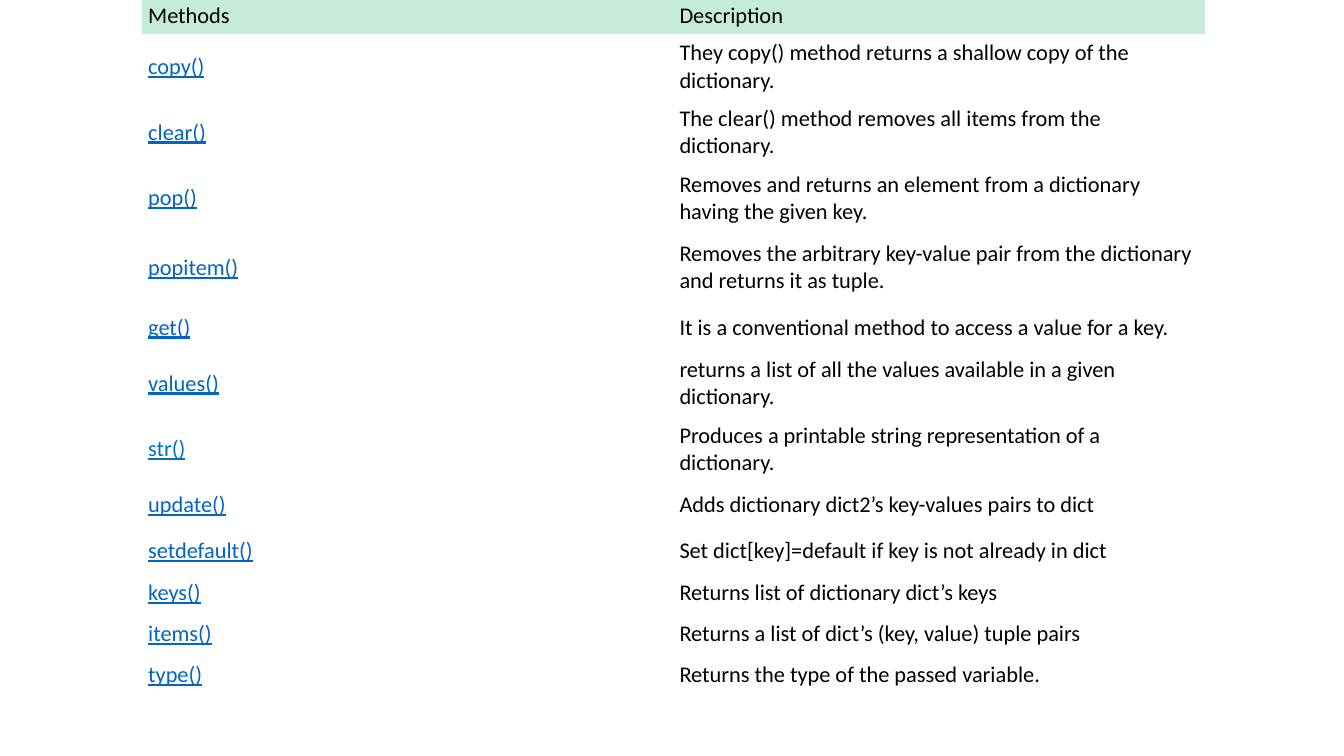
import dataclasses

import pptx
import pptx.dml.color
import pptx.enum.text
import pptx.oxml.ns
import pptx.util

Inches = pptx.util.Inches
Color = pptx.dml.color.RGBColor

BLACK = Color(0x00, 0x00, 0x00)
LINK = Color(0x05, 0x63, 0xC1)
BLUE = Color(0x00, 0x70, 0xC0)
MINT = Color(0xC6, 0xEB, 0xD9)

# Row heights in inches
HEAD, SMALL, MID, TALL, EXTRA = 0.34, 0.36, 0.46, 0.65, 0.73


@dataclasses.dataclass
class Method:
    name: str
    about: str
    height: float
    color: Color = LINK


METHODS = [
    Method("copy()", "They copy() method returns a shallow copy of the dictionary.", TALL),
    Method("clear()", "The clear() method removes all items from the dictionary.", TALL),
    Method("pop()", "Removes and returns an element from a dictionary having the given key.", TALL),
    Method("popitem()", "Removes the arbitrary key-value pair from the dictionary and returns it as tuple.", EXTRA),
    Method("get()", "It is a conventional method to access a value for a key.", MID),
    Method("values()", "returns a list of all the values available in a given dictionary.", TALL),
    Method("str()", "Produces a printable string representation of a dictionary.", TALL, BLUE),
    Method("update()", "Adds dictionary dict2’s key-values pairs to dict", MID),
    Method("setdefault()", "Set dict[key]=default if key is not already in dict", MID),
    Method("keys()", "Returns list of dictionary dict’s keys", SMALL),
    Method("items()", "Returns a list of dict’s (key, value) tuple pairs", MID),
    Method("type()", "Returns the type of the passed variable.", SMALL),
]


def write(cell, text: str, *, color: Color = BLACK, line: bool = False,
          fill: Color | None = None, top: float = 0.03) -> None:
    """Fill one cell with formatted text."""
    cell.margin_left = cell.margin_right = Inches(0.06)
    cell.margin_top, cell.margin_bottom = Inches(top), Inches(0.03)
    cell.vertical_anchor = pptx.enum.text.MSO_ANCHOR.MIDDLE
    if fill is None:
        cell.fill.background()
    else:
        cell.fill.solid()
        cell.fill.fore_color.rgb = fill
    run = cell.text_frame.paragraphs[0].add_run()
    run.text = text
    run.font.name = "Calibri"
    run.font.size = pptx.util.Pt(16)
    run.font.bold = False
    run.font.underline = line
    run.font.color.rgb = color


def draw(slide, methods: list[Method]) -> None:
    """Add the table of methods."""
    heights = [HEAD] + [m.height for m in methods]
    frame = slide.shapes.add_table(len(heights), 2, Inches(1.41), Inches(0),
                                   Inches(10.54), Inches(sum(heights)))
    table = frame.table
    table.horz_banding = False
    for row, height in zip(table.rows, heights):
        row.height = Inches(height)

    # Plain table style without grid lines
    style = table._tbl.tblPr.find(pptx.oxml.ns.qn("a:tableStyleId"))
    style.text = "{2D5ABB26-0587-4C30-8999-92F81FD0307C}"

    # Header
    for col, title in enumerate(("Methods", "Description")):
        write(table.cell(0, col), title, fill=MINT, top=0)

    # Body
    for row, method in enumerate(methods, 1):
        write(table.cell(row, 0), method.name, color=method.color, line=True)
        write(table.cell(row, 1), method.about)


def main() -> None:
    deck = pptx.Presentation()
    deck.slide_width, deck.slide_height = Inches(13.33), Inches(7.5)
    draw(deck.slides.add_slide(deck.slide_layouts[6]), METHODS)
    deck.save("out.pptx")


if __name__ == "__main__":
    main()
